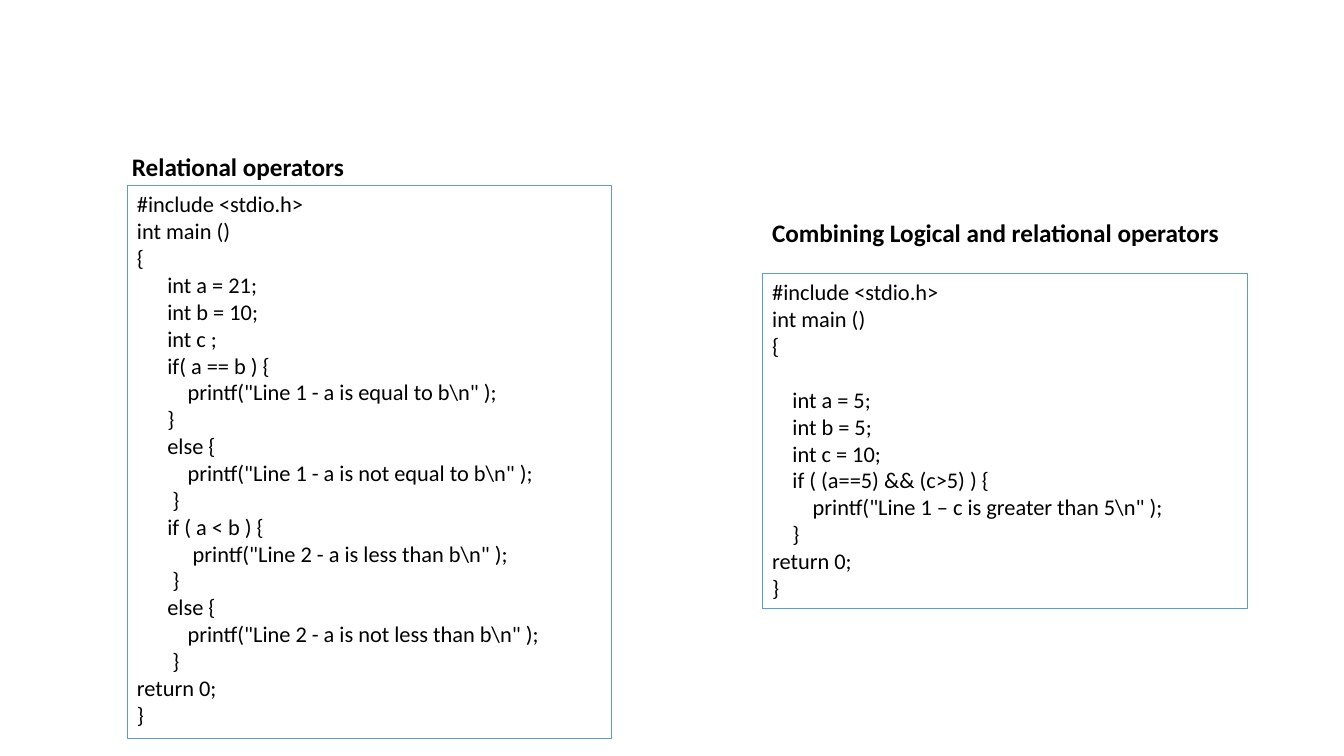
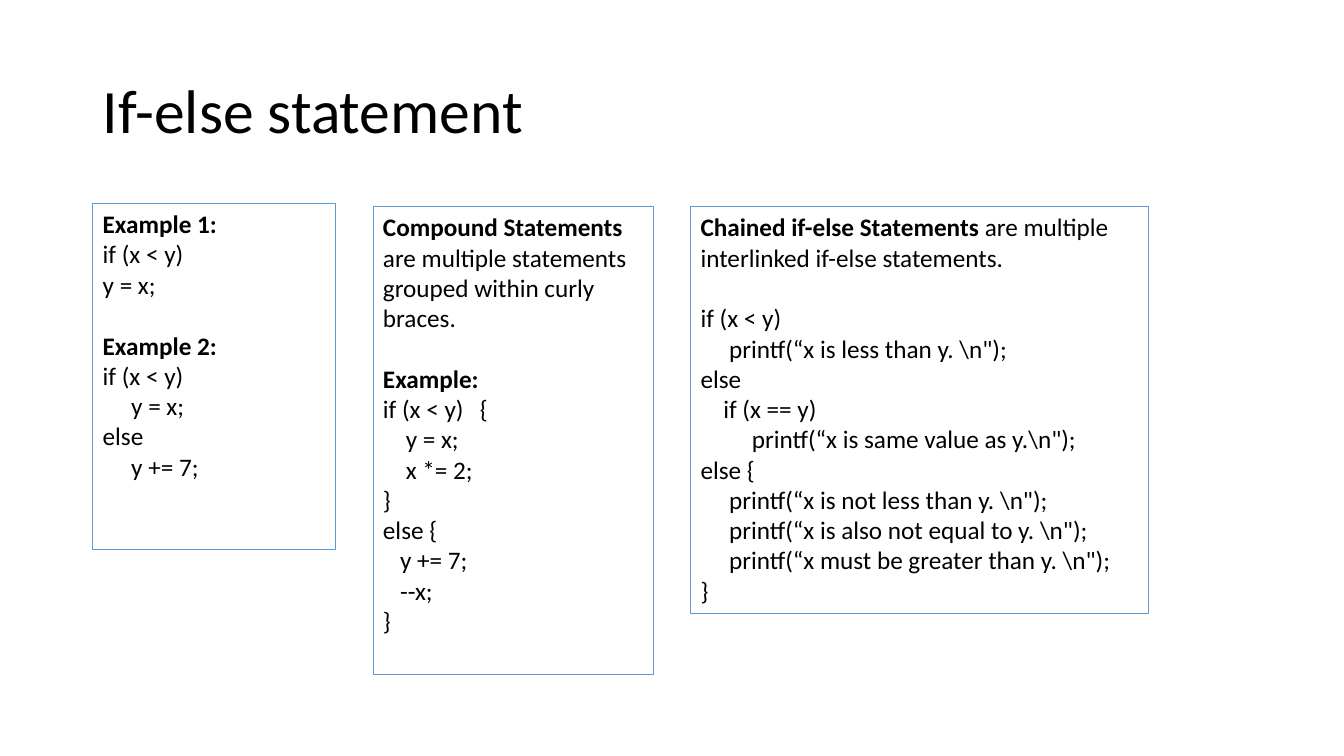
import pptx
import pptx.util
import pptx.dml.color
import pptx.enum.shapes
import pptx.enum.text
import lxml.etree

Inches, Pt = pptx.util.Inches, pptx.util.Pt
ALIGN, ANCHOR = pptx.enum.text.PP_ALIGN, pptx.enum.text.MSO_ANCHOR

COLORS = {"text": "000000", "border": "5B9BD5"}
FONT = "Calibri"
SPACE_WIDTH = 0.226  # width of one code column, in ems
LINE_HEIGHT = 1.22   # height of one line, in ems
BRACE_TAB = 0.96     # inches
GAP = None           # one line of space before the next line

# A line is (indent in columns, bold text, plain text).
HEADINGS = [
    ("Relational operators", (1.21, 1.45, 4.86, 0.4)),
    ("Combining Logical and relational operators", (7.56, 2.11, 4.86, 0.4)),
]
OPERATOR_PANELS = [
    ((1.26, 1.84, 4.81, 5.49), [
        (0, "", "#include <stdio.h>"),
        (0, "", "int main ()"),
        (0, "", "{"),
        (6, "", "int a = 21;"),
        (6, "", "int b = 10;"),
        (6, "", "int c ;"),
        (6, "", "if( a == b ) {"),
        (10, "", r'printf("Line 1 - a is equal to b\n" );'),
        (6, "", "}"),
        (6, "", "else {"),
        (10, "", r'printf("Line 1 - a is not equal to b\n" );'),
        (7, "", "}"),
        (6, "", "if ( a < b ) {"),
        (11, "", r'printf("Line 2 - a is less than b\n" );'),
        (7, "", "}"),
        (6, "", "else {"),
        (10, "", r'printf("Line 2 - a is not less than b\n" );'),
        (7, "", "}"),
        (0, "", "return 0;"),
        (0, "", "}"),
    ]),
    ((7.56, 2.71, 4.81, 3.33), [
        (0, "", "#include <stdio.h>"),
        (0, "", "int main ()"),
        (0, "", "{"),
        GAP,
        (4, "", "int a = 5;"),
        (4, "", "int b = 5;"),
        (4, "", "int c = 10;"),
        (4, "", "if ( (a==5) && (c>5) ) {"),
        (8, "", r'printf("Line 1 – c is greater than 5\n" );'),
        (4, "", "}"),
        (0, "", "return 0;"),
        (0, "", "}"),
    ]),
]
IF_ELSE_TITLE = "If-else statement"
IF_ELSE_PANELS = [
    ((0.92, 2.02, 2.41, 3.43), [
        (0, "Example 1:", ""),
        (0, "", "if (x < y)"),
        (0, "", "y = x;"),
        GAP,
        (0, "Example 2:", ""),
        (0, "", "if (x < y)"),
        (5, "", "y = x;"),
        (0, "", "else"),
        (5, "", "y += 7;"),
    ]),
    ((3.7, 2.05, 2.78, 4.64), [
        (0, "Compound Statements ",
         "are multiple statements grouped within curly braces."),
        GAP,
        (0, "Example:", ""),
        (0, "", "if (x < y)\t{"),
        (4, "", "y = x;"),
        (4, "", "x *= 2;"),
        (0, "", "}"),
        (0, "", "else {"),
        (3, "", "y += 7;"),
        (3, "", "--x;"),
        (0, "", "}"),
    ]),
    ((6.85, 2.05, 4.54, 4.04), [
        (0, "Chained if-else Statements ",
         "are multiple interlinked if-else statements."),
        GAP,
        (0, "", "if (x < y)"),
        (5, "", r'printf(“x is less than y. \n");'),
        (0, "", "else"),
        (4, "", "if (x == y)"),
        (9, "", r'printf(“x is same value as y.\n");'),
        (0, "", "else {"),
        (5, "", r'printf(“x is not less than y. \n");'),
        (5, "", r'printf(“x is also not equal to y. \n");'),
        (5, "", r'printf(“x must be greater than y. \n");'),
        (0, "", "}"),
    ]),
]


def rgb(name):
    return pptx.dml.color.RGBColor.from_string(COLORS[name])


def add_text(p, text, size=18, bold=False):
    r = p.add_run()
    r.text = text
    r.font.name, r.font.size, r.font.bold = FONT, Pt(size), bold
    r.font.color.rgb = rgb("text")


def add_tab_stop(p, position):
    a = pptx.oxml.ns.qn
    tabs = lxml.etree.SubElement(p._p.get_or_add_pPr(), a("a:tabLst"))
    lxml.etree.SubElement(tabs, a("a:tab"), pos=str(Inches(position)), algn="l")


def fill_lines(tf, lines, size):
    """Write the lines, turning columns into indents and gaps into spacing."""
    p, gap = tf.paragraphs[0], 0
    for number, line in enumerate(lines):
        if line is GAP:
            gap += size * LINE_HEIGHT
            continue
        columns, bold_text, plain_text = line
        if number:
            p = tf.add_paragraph()
        p.alignment = ALIGN.LEFT
        if gap:
            p.space_before, gap = Pt(gap), 0
        if columns:
            p._p.get_or_add_pPr().set("marL", str(Pt(columns * size * SPACE_WIDTH)))
        if "\t" in plain_text:
            add_tab_stop(p, BRACE_TAB)
        for text, bold in ((bold_text, True), (plain_text, False)):
            if text:
                add_text(p, text, size=size, bold=bold)


def add_panel(s, box, lines, size):
    sp = s.shapes.add_shape(pptx.enum.shapes.MSO_SHAPE.RECTANGLE, *map(Inches, box))
    sp.shadow.inherit = False
    sp.fill.background()
    sp.line.color.rgb = rgb("border")
    sp.line.width = Pt(0.75)
    tf = sp.text_frame
    tf.word_wrap = True
    tf.vertical_anchor = ANCHOR.TOP
    fill_lines(tf, lines, size)


def add_heading(s, text, box):
    tf = s.shapes.add_textbox(*map(Inches, box)).text_frame
    tf.word_wrap = True
    add_text(tf.paragraphs[0], text, bold=True)


def set_title(s, text):
    sp = s.shapes.title
    sp.left, sp.top, sp.width, sp.height = map(Inches, (0.92, 0.4, 11.5, 1.45))
    sp.text_frame.vertical_anchor = ANCHOR.MIDDLE
    p = sp.text_frame.paragraphs[0]
    p.alignment, p.line_spacing = ALIGN.LEFT, 0.9
    add_text(p, text, size=44)


def main():
    prs = pptx.Presentation()
    prs.slide_width, prs.slide_height = Inches(13.33), Inches(7.5)
    title_only, blank = prs.slide_layouts[5], prs.slide_layouts[6]

    s = prs.slides.add_slide(blank)
    for box, lines in OPERATOR_PANELS:
        add_panel(s, box, lines, size=16)
    for text, box in HEADINGS:
        add_heading(s, text, box)

    s = prs.slides.add_slide(title_only)
    set_title(s, IF_ELSE_TITLE)
    for box, lines in IF_ELSE_PANELS:
        add_panel(s, box, lines, size=18)

    prs.save("out.pptx")


if __name__ == "__main__":
    main()
